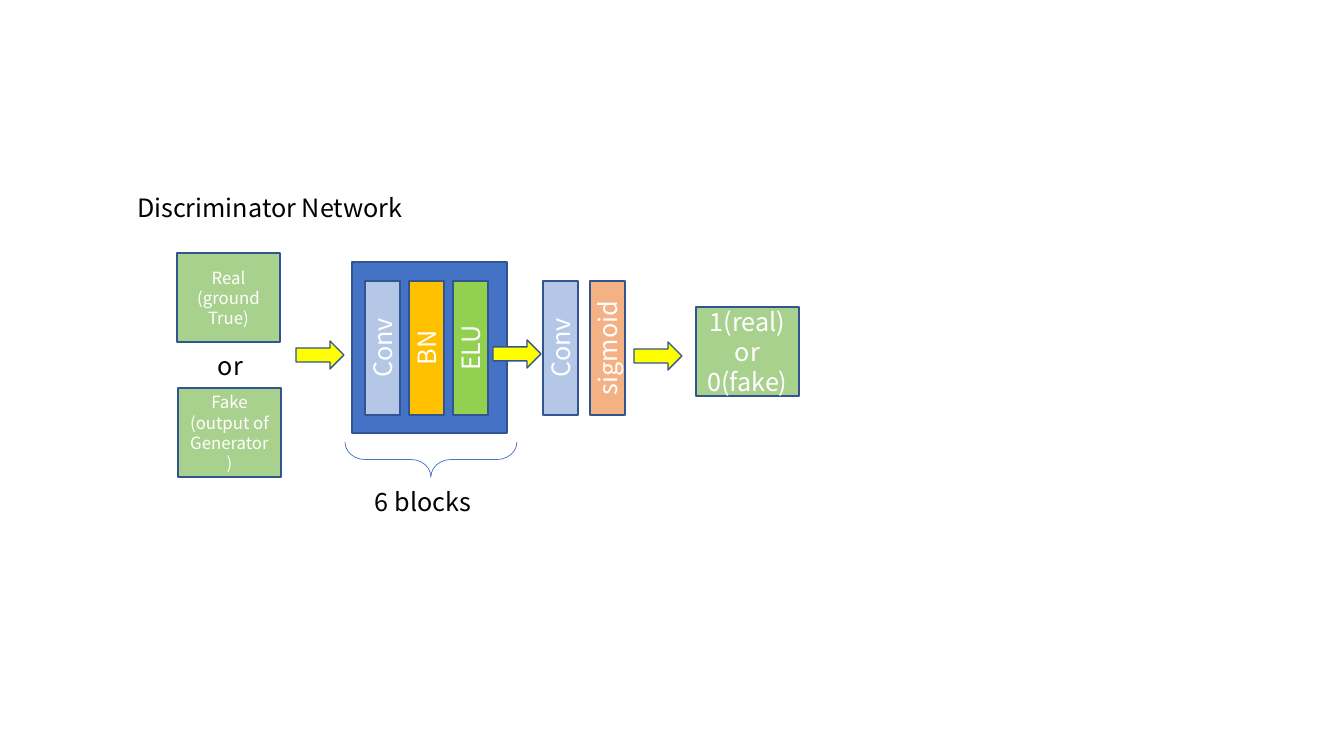
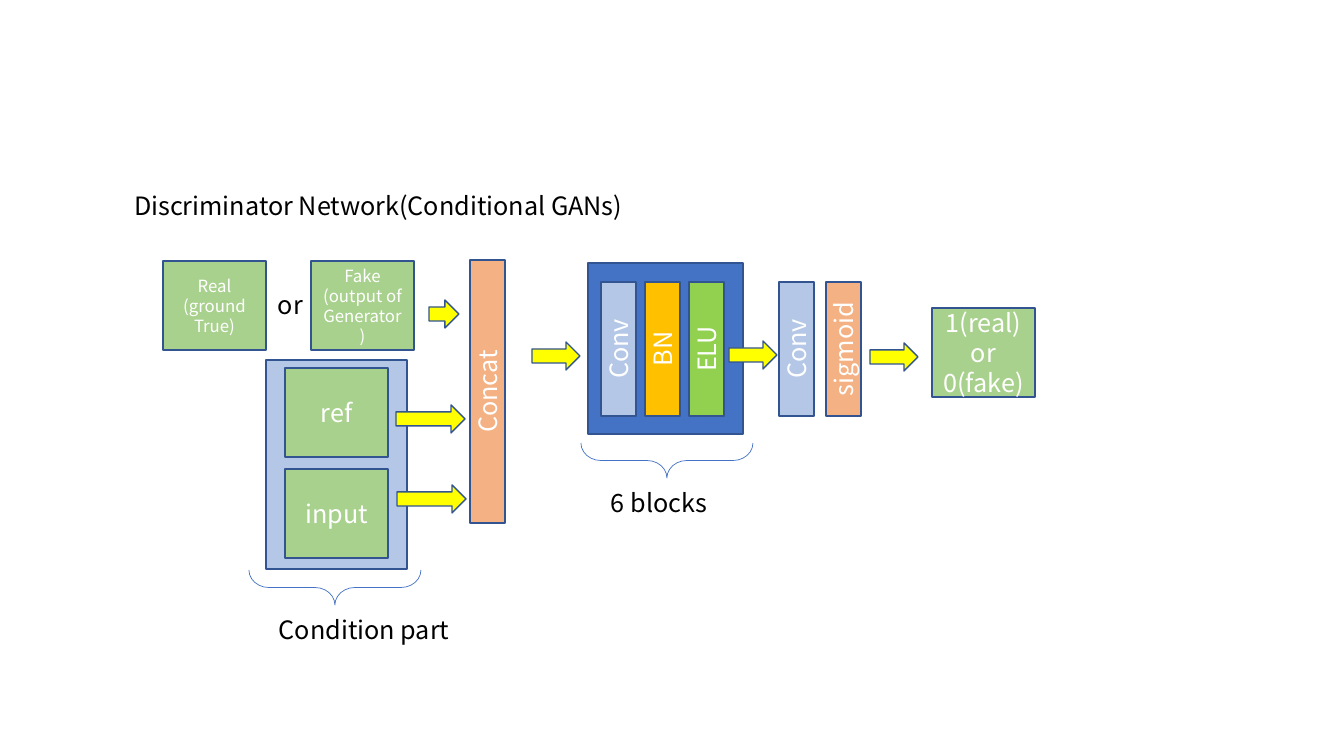
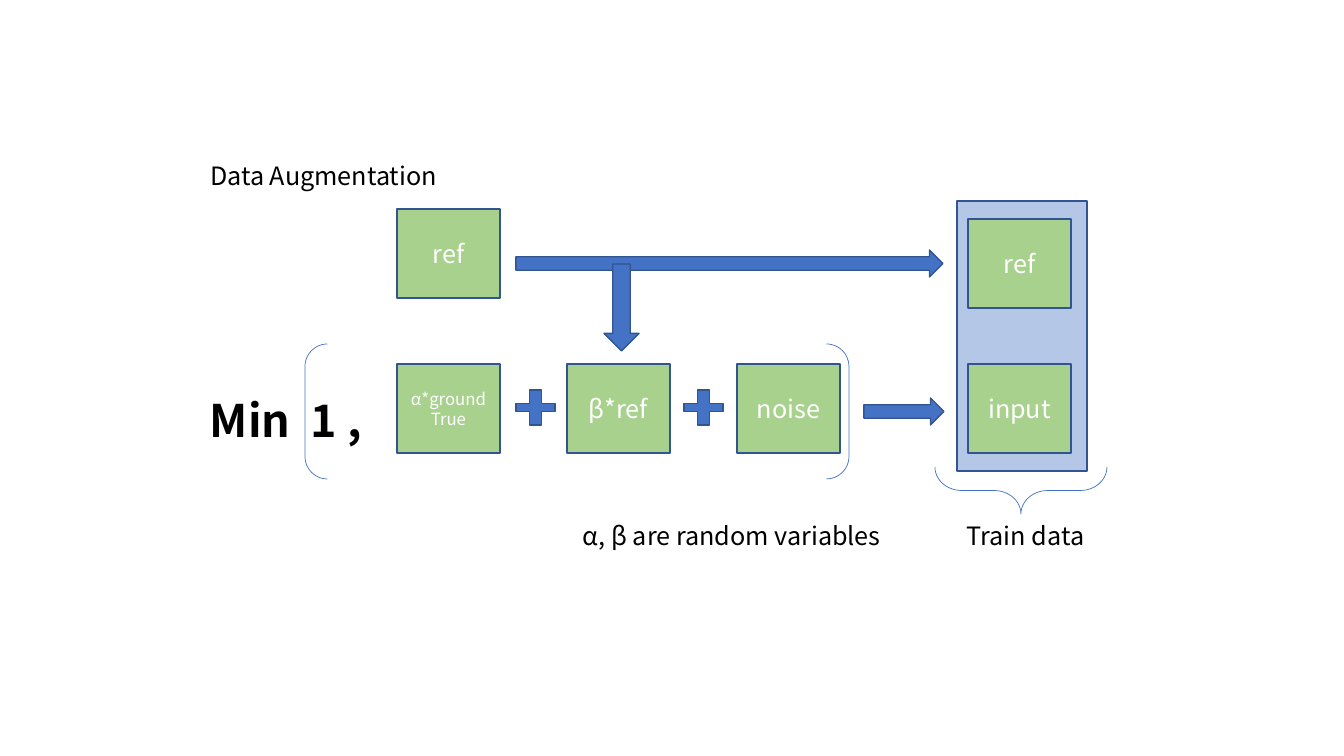
"""Build three slides on a discriminator network and its data augmentation."""
from pptx import Presentation
from pptx.dml.color import RGBColor
from pptx.enum.shapes import MSO_SHAPE
from pptx.enum.text import MSO_ANCHOR, MSO_AUTO_SIZE, PP_ALIGN
from pptx.util import Emu, Pt

EMU_PER_PIXEL = 914400 / 100.8
FONT = "Noto Sans CJK KR"
COLORS = {
    "blue": "4472C4", "outline": "325491", "pale": "B4C7E7", "amber": "FFC000",
    "lime": "92D050", "green": "A9D18E", "peach": "F4B183", "yellow": "FFFF00",
    "white": "FFFFFF", "black": "000000",
}
CARD = (103, 89)
BAR = (35, 134)
BRACE = (172, 35)
ARROW = (48, 28)
LONG_ARROW = (69, 28)
PLUS = (39, 35)
REAL = "Real\n(ground True)"
FAKE = "Fake\n(output of Generator)"

KINDS = {
    "box": {"preset": MSO_SHAPE.RECTANGLE},
    "bar": {"preset": MSO_SHAPE.RECTANGLE, "rotation": 270},
    "arrow": {"preset": MSO_SHAPE.RIGHT_ARROW},
    "down arrow": {"preset": MSO_SHAPE.RIGHT_ARROW, "rotation": 90},
    "plus": {"preset": MSO_SHAPE.CROSS, "adjustments": (0.39,)},
    "brace": {"preset": MSO_SHAPE.LEFT_BRACE, "rotation": 270, "adjustments": (0.57, 0.5)},
    "brackets": {"preset": MSO_SHAPE.DOUBLE_BRACKET},
}

NETWORK = [
    ("box", (0, 0), (155, 171), "blue"),
    ("arrow", (-56, 79), ARROW, "yellow"),
    ("bar", (13, 19), BAR, "pale", "Conv"),
    ("bar", (57, 19), BAR, "amber", "BN"),
    ("bar", (101, 19), BAR, "lime", "ELU"),
    ("brace", (-7, 180), BRACE, None),
    ("label", (13, 219), (290, 40), "black", "6 blocks"),
    ("bar", (191, 19), BAR, "pale", "Conv"),
    ("bar", (238, 19), BAR, "peach", "sigmoid"),
    ("arrow", (141, 78), ARROW, "yellow"),
    ("arrow", (282, 80), ARROW, "yellow"),
    ("box", (344, 45), CARD, "green", "1(real) or 0(fake)"),
]
PLAIN_INPUTS = [
    ("box", (177, 253), CARD, "green", REAL, 12),
    ("box", (178, 388), CARD, "green", FAKE, 12),
    ("label", (208, 345), (73, 40), "black", "or"),
]
CONDITIONAL_INPUTS = [
    ("box", (266, 360), (141, 209), "pale"),
    ("box", (163, 261), CARD, "green", REAL, 12),
    ("box", (311, 261), CARD, "green", FAKE, 12),
    ("label", (268, 284), (73, 40), "black", "or"),
    ("box", (285, 368), CARD, "green", "ref"),
    ("box", (285, 469), CARD, "green", "input"),
    ("bar", (470, 260), (35, 263), "peach", "Concat"),
    ("arrow", (397, 485), LONG_ARROW, "yellow"),
    ("arrow", (396, 405), LONG_ARROW, "yellow"),
    ("arrow", (429, 300), (30, 28), "yellow"),
    ("brace", (249, 570), BRACE, None),
    ("label", (269, 609), (290, 40), "black", "Condition part"),
]
AUGMENTATION = [
    ("label", (957, 515), (151, 40), "black", "Train data"),
    ("box", (957, 201), (130, 270), "pale"),
    ("brace", (935, 467), (172, 47), None),
    ("box", (397, 209), CARD, "green", "ref"),
    ("box", (968, 364), CARD, "green", "input"),
    ("box", (397, 364), CARD, "green", "α*ground True", 12),
    ("box", (567, 364), CARD, "green", "β*ref"),
    ("box", (737, 364), CARD, "green", "noise"),
    ("plus", (516, 390), PLUS, "blue"),
    ("plus", (684, 390), PLUS, "blue"),
    ("arrow", (864, 398), (80, 27), "blue"),
    ("box", (968, 219), CARD, "green", "ref"),
    ("arrow", (516, 250), (427, 27), "blue"),
    ("down arrow", (604, 264), (35, 87), "blue"),
    ("brackets", (305, 344), (544, 135), None),
    ("label", (200, 388), (198, 65), "black", "Min  1 ,", 32, True),
    ("label", (573, 515), (325, 40), "black", "α, β are random variables"),
]
SLIDES = [
    ("Discriminator Network", (127, 187, 290, 40), [(PLAIN_INPUTS, (0, 0)), (NETWORK, (352, 262))]),
    ("Discriminator Network(Conditional GANs)", (124, 185, 575, 40),
     [(CONDITIONAL_INPUTS, (0, 0)), (NETWORK, (588, 263))]),
    ("Data Augmentation", (200, 155, 575, 40), [(AUGMENTATION, (0, 0))]),
]


def emu(*pixels):
    return [Emu(round(pixel * EMU_PER_PIXEL)) for pixel in pixels]


def color(name):
    return RGBColor.from_string(COLORS[name])


def apply(target, values):
    for name, value in values.items():
        setattr(target, name, value)


def write(shape, text, ink, size=18, bold=False, align=PP_ALIGN.LEFT,
          anchor=MSO_ANCHOR.TOP, auto_size=MSO_AUTO_SIZE.SHAPE_TO_FIT_TEXT):
    frame = shape.text_frame
    frame.text = text
    apply(frame, {"word_wrap": True, "vertical_anchor": anchor, "auto_size": auto_size})
    for para in frame.paragraphs:
        para.alignment = align
        for span in para.runs:
            apply(span.font, {"name": FONT, "size": Pt(size), "bold": bold})
            span.font.color.rgb = color(ink)


def add_label(page, left, top, width, height, ink, text, size=18, bold=False):
    write(page.shapes.add_textbox(*emu(left, top, width, height)), text, ink, size, bold)


def add_figure(page, kind, left, top, width, height, fill, text="", size=18):
    style = KINDS[kind]
    rotation = style.get("rotation", 0)
    if rotation:
        left, top = left + (width - height) / 2, top + (height - width) / 2
        width, height = height, width
    shape = page.shapes.add_shape(style["preset"], *emu(left, top, width, height))
    shape.rotation = rotation
    shape.shadow.inherit = False
    for index, value in enumerate(style.get("adjustments", ())):
        shape.adjustments[index] = value
    if fill:
        shape.fill.solid()
        shape.fill.fore_color.rgb = color(fill)
    else:
        shape.fill.background()
    shape.line.color.rgb = color("outline" if fill else "blue")
    shape.line.width = Pt(1 if fill else 0.5)
    if text:
        write(shape, text, "white", size, align=PP_ALIGN.CENTER,
              anchor=MSO_ANCHOR.MIDDLE, auto_size=MSO_AUTO_SIZE.NONE)


def add_group(page, items, origin):
    for kind, (x, y), (width, height), *details in items:
        frame = (origin[0] + x, origin[1] + y, width, height)
        if kind == "label":
            add_label(page, *frame, *details)
        else:
            add_figure(page, kind, *frame, *details)


def add_page(deck, heading, frame, groups):
    page = deck.slides.add_slide(deck.slide_layouts[5])
    title = page.shapes.title
    apply(title, dict(zip(("left", "top", "width", "height"), emu(*frame))))
    write(title, heading, "black")
    for items, origin in groups:
        add_group(page, items, origin)


deck = Presentation()
deck.slide_width, deck.slide_height = emu(1344, 756)
for heading, frame, groups in SLIDES:
    add_page(deck, heading, frame, groups)
deck.save("out.pptx")
